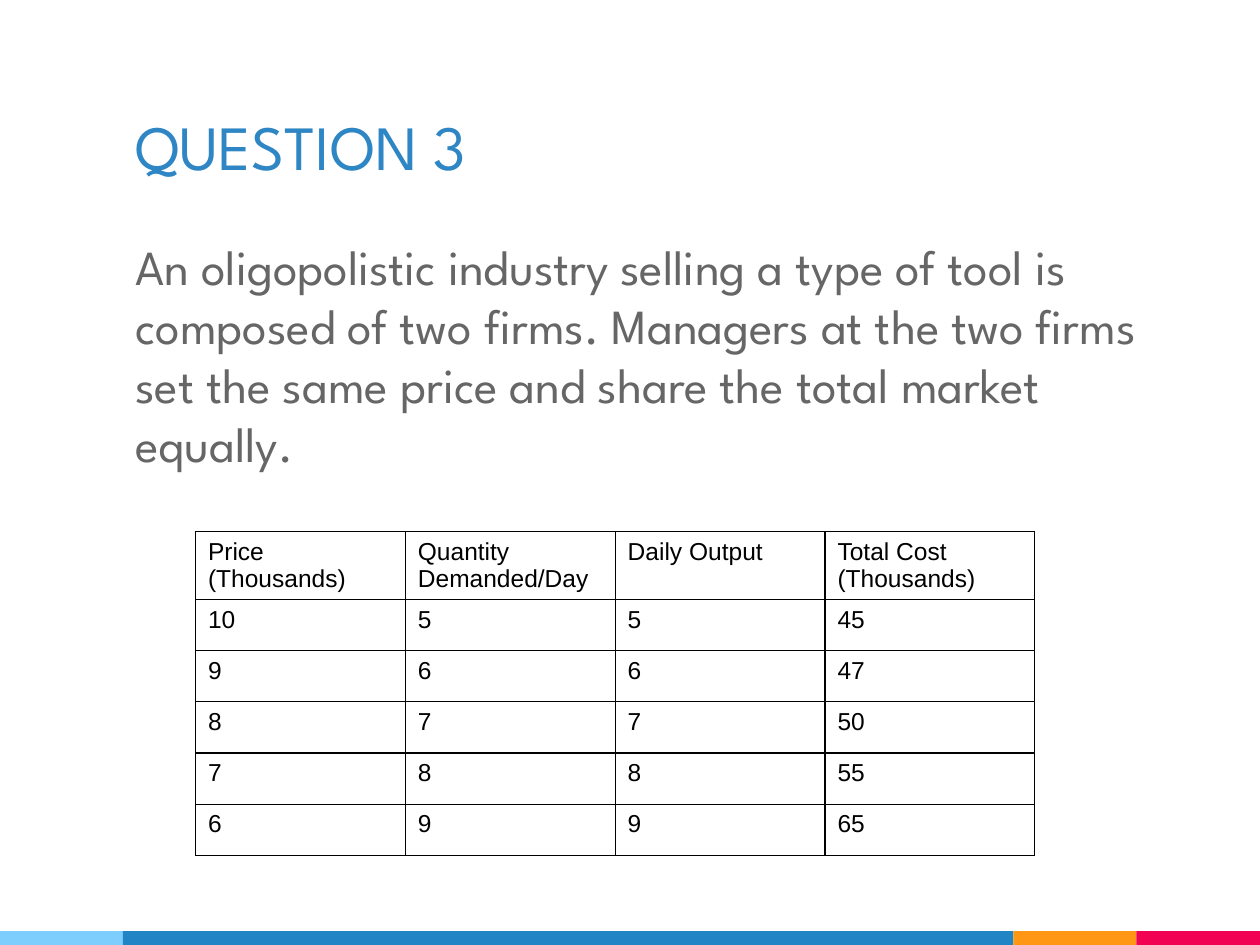
from dataclasses import dataclass

from lxml.etree import SubElement
from pptx import Presentation
from pptx.dml.color import RGBColor
from pptx.enum.shapes import MSO_SHAPE
from pptx.enum.text import MSO_ANCHOR, MSO_AUTO_SIZE, PP_ALIGN
from pptx.oxml.ns import qn
from pptx.util import Cm, Pt


@dataclass(frozen=True)
class Theme:
    title: str = "2F86C5"
    body: str = "666666"
    table: str = "000000"
    sky: str = "7ECEFD"
    blue: str = "2185C5"
    orange: str = "FF9715"
    red: str = "F20253"
    display_font: str = "League Spartan"
    table_font: str = "Arial"
    title_size: int = 36
    body_size: int = 28
    table_size: int = 14
    border: float = 0.75


def style_paragraph(paragraph, font_name, size, color):
    paragraph.alignment = PP_ALIGN.LEFT
    paragraph.font.name = font_name
    paragraph.font.size = Pt(size)
    paragraph.font.bold = False
    paragraph.font.color.rgb = RGBColor.from_string(color)


def set_borders(cell, color, width):
    properties = cell._tc.get_or_add_tcPr()
    for side in ("lnL", "lnR", "lnT", "lnB"):
        line = SubElement(properties, qn(f"a:{side}"), w=str(Pt(width)))
        fill = SubElement(line, qn("a:solidFill"))
        SubElement(fill, qn("a:srgbClr"), val=color)


theme = Theme()
presentation = Presentation()
presentation.slide_width = Cm(25.4)
presentation.slide_height = Cm(19.05)
slide = presentation.slides.add_slide(presentation.slide_layouts[5])

stripe_left = 0
for stripe_width, color in (
    (2.48, theme.sky),
    (17.95, theme.blue),
    (2.48, theme.orange),
    (2.49, theme.red),
):
    stripe = slide.shapes.add_shape(
        MSO_SHAPE.RECTANGLE, Cm(stripe_left), Cm(18.77), Cm(stripe_width), Cm(0.28)
    )
    stripe.shadow.inherit = False
    stripe.fill.solid()
    stripe.fill.fore_color.rgb = RGBColor.from_string(color)
    stripe.line.fill.background()
    stripe_left += stripe_width

title = slide.shapes.title
title.left, title.top, title.width, title.height = Cm(2.48), Cm(0.76), Cm(17.96), Cm(3.18)
title.text_frame.text = "QUESTION 3"
title.text_frame.vertical_anchor = MSO_ANCHOR.BOTTOM
style_paragraph(
    title.text_frame.paragraphs[0], theme.display_font, theme.title_size, theme.title
)

question = slide.shapes.add_textbox(Cm(2.48), Cm(4.52), Cm(20.7), Cm(13.72))
question.text_frame.text = (
    "An oligopolistic industry selling a type of tool is composed of two firms. "
    "Managers at the two firms set the same price and share the total market equally."
)
style_paragraph(
    question.text_frame.paragraphs[0], theme.display_font, theme.body_size, theme.body
)

for frame in (title.text_frame, question.text_frame):
    frame.word_wrap = True
    frame.auto_size = MSO_AUTO_SIZE.NONE
    frame.margin_left = frame.margin_right = Cm(0.25)
    frame.margin_top = frame.margin_bottom = Cm(0.25)

rows = (
    ("Price (Thousands)", "Quantity Demanded/Day", "Daily Output", "Total Cost (Thousands)"),
    (10, 5, 5, 45),
    (9, 6, 6, 47),
    (8, 7, 7, 50),
    (7, 8, 8, 55),
    (6, 9, 9, 65),
)
header_height, row_height, column_width = 1.37, 1.03, 4.23
table = slide.shapes.add_table(
    len(rows),
    len(rows[0]),
    Cm(3.94),
    Cm(10.72),
    Cm(column_width * len(rows[0])),
    Cm(header_height + row_height * (len(rows) - 1)),
).table
table.first_row = False
table.horz_banding = False
for column in table.columns:
    column.width = Cm(column_width)
for row_index, values in enumerate(rows):
    table.rows[row_index].height = Cm(row_height if row_index else header_height)
    for column_index, value in enumerate(values):
        cell = table.cell(row_index, column_index)
        cell.text = str(value)
        style_paragraph(
            cell.text_frame.paragraphs[0], theme.table_font, theme.table_size, theme.table
        )
        set_borders(cell, theme.table, theme.border)
        cell.fill.background()

presentation.save("out.pptx")
